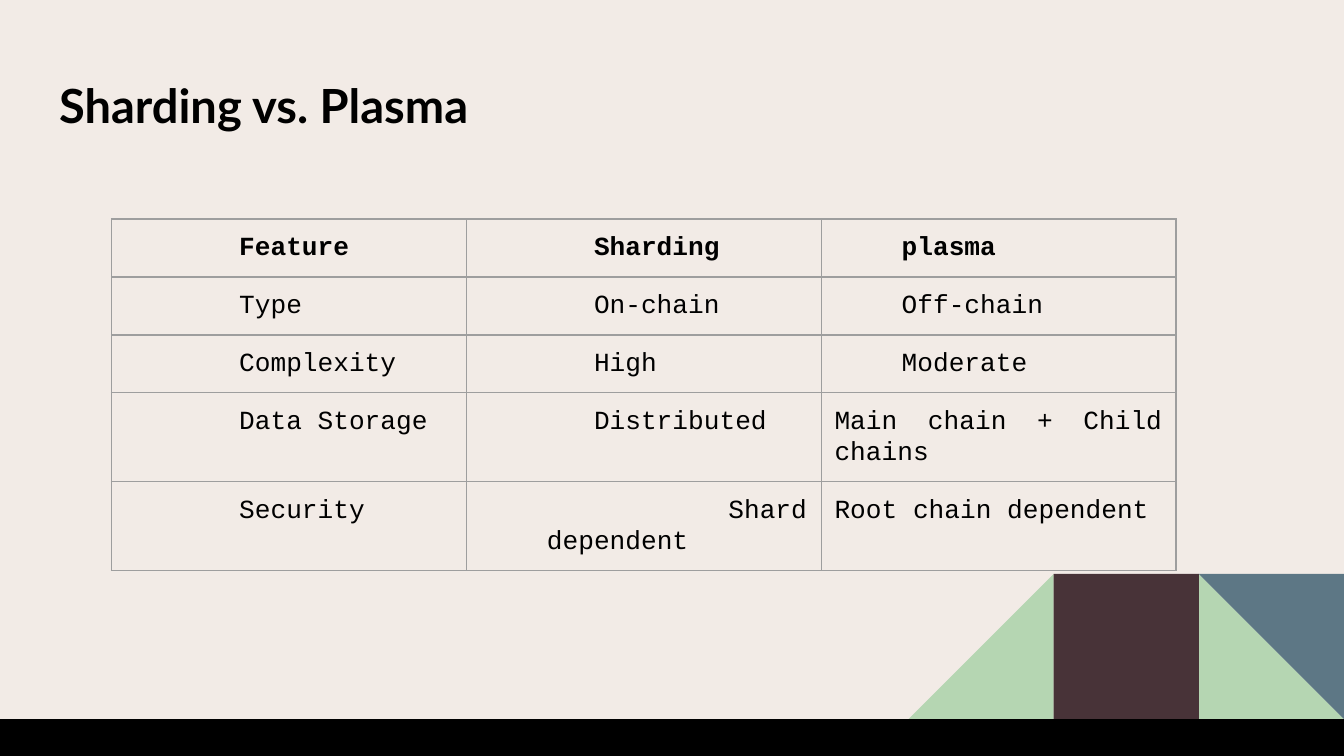
from lxml import etree
from pptx import Presentation
from pptx.dml.color import RGBColor
from pptx.enum.shapes import MSO_SHAPE
from pptx.enum.text import MSO_ANCHOR, MSO_AUTO_SIZE, PP_ALIGN
from pptx.oxml.ns import qn
from pptx.util import Inches, Pt

LEFT, JUSTIFY = PP_ALIGN.LEFT, PP_ALIGN.JUSTIFY
TRIANGLE, RECTANGLE = MSO_SHAPE.RIGHT_TRIANGLE, MSO_SHAPE.RECTANGLE
MIDDLE, NO_AUTOFIT = MSO_ANCHOR.MIDDLE, MSO_AUTO_SIZE.NONE

WIDTH = 10
HEIGHT = WIDTH * 9 / 16
BLACK, CREAM, GREY = "000000", "F2EBE6", "9E9E9E"
GREEN, MAROON, SLATE = "B5D6B2", "483338", "5D7785"
INSET = 0.1

COMPARISON = [
    ["Feature", "Sharding", "plasma"],
    ["Type", "On-chain", "Off-chain"],
    ["Complexity", "High", "Moderate"],
    ["Data Storage", "Distributed", "Main chain + Child chains"],
    ["Security", "Shard dependent", "Root chain dependent"],
]
COLUMN_INDENTS = [(0.5, 0.35), (0.5, 0.35), (0.5, 0)]
SPECIAL_INDENTS = {(3, 2): (0, 0), (4, 2): (0, 0), (4, 1): (0.5, 1.35)}


def color(value):
    return RGBColor.from_string(value)


def write(frame, text, font, size, bold=False, align=LEFT, indent=(0, 0),
          line_spacing=1.0, space_after=0):
    frame.word_wrap = True
    paragraph = frame.paragraphs[0]
    paragraph.alignment = align
    paragraph.line_spacing = line_spacing
    paragraph.space_before = Pt(0)
    paragraph.space_after = Pt(space_after)
    properties = paragraph._p.get_or_add_pPr()
    margin, first_line = indent
    properties.set("marL", str(Inches(margin)))
    properties.set("indent", str(Inches(first_line)))
    run = paragraph.add_run()
    run.text = text
    run.font.name = font
    run.font.size = Pt(size)
    run.font.bold = bold
    run.font.color.rgb = color(BLACK)


def set_insets(holder):
    holder.margin_left = holder.margin_right = Inches(INSET)
    holder.margin_top = holder.margin_bottom = Inches(INSET)


def add_block(shapes, kind, left, top, width, height, fill, rotation=0):
    block = shapes.add_shape(kind, Inches(left), Inches(top),
                             Inches(width), Inches(height))
    block.shadow.inherit = False
    block.fill.solid()
    block.fill.fore_color.rgb = color(fill)
    block.line.fill.background()
    block.rotation = rotation


def add_corner_pattern(slide, left, top, side):
    shapes = slide.shapes.add_group_shape().shapes
    tiles = [
        (2, TRIANGLE, GREEN, 0),
        (0, TRIANGLE, GREEN, 270),
        (1, RECTANGLE, MAROON, 0),
        (2, TRIANGLE, SLATE, 180),
    ]
    for column, kind, fill, rotation in tiles:
        add_block(shapes, kind, left + column * side, top, side, side, fill, rotation)


def add_title(slide, left, top, width, height):
    title = slide.shapes.title
    title.left, title.top = Inches(left), Inches(top)
    title.width, title.height = Inches(width), Inches(height)
    frame = title.text_frame
    frame.auto_size = NO_AUTOFIT
    frame.vertical_anchor = MIDDLE
    set_insets(frame)
    write(frame, "Sharding vs. Plasma", "Lato", 25.2, bold=True)


def add_borders(cell):
    properties = cell._tc.get_or_add_tcPr()
    for side in ("a:lnL", "a:lnR", "a:lnT", "a:lnB"):
        border = etree.SubElement(properties, qn(side), w=str(Pt(0.75)))
        fill = etree.SubElement(border, qn("a:solidFill"))
        etree.SubElement(fill, qn("a:srgbClr"), val=GREY)


def add_comparison(slide, left, top, width, row_height):
    rows, columns = len(COMPARISON), len(COMPARISON[0])
    table = slide.shapes.add_table(rows, columns, Inches(left), Inches(top),
                                   Inches(width), Inches(row_height * rows)).table
    table.first_row = False
    table.horz_banding = False
    for row, labels in enumerate(COMPARISON):
        header = row == 0
        for column, label in enumerate(labels):
            cell = table.cell(row, column)
            set_insets(cell)
            add_borders(cell)
            cell.fill.background()
            write(cell.text_frame, label, "Courier New", 14, bold=header,
                  align=LEFT if header else JUSTIFY,
                  indent=SPECIAL_INDENTS.get((row, column), COLUMN_INDENTS[column]),
                  line_spacing=1.05, space_after=10)


def main():
    presentation = Presentation()
    presentation.slide_width = Inches(WIDTH)
    presentation.slide_height = Inches(HEIGHT)
    slide = presentation.slides.add_slide(presentation.slide_layouts[5])
    slide.background.fill.solid()
    slide.background.fill.fore_color.rgb = color(CREAM)

    floor = 5.35
    tile = 1.08
    add_corner_pattern(slide, WIDTH - 3 * tile, floor - tile, tile)
    add_block(slide.shapes, RECTANGLE, 0, floor, WIDTH, HEIGHT - floor, BLACK)
    add_title(slide, 0.34, 0.45, 9.32, 0.66)
    add_comparison(slide, 0.83, 1.63, 7.92, 0.42)
    presentation.save("out.pptx")


if __name__ == "__main__":
    main()
